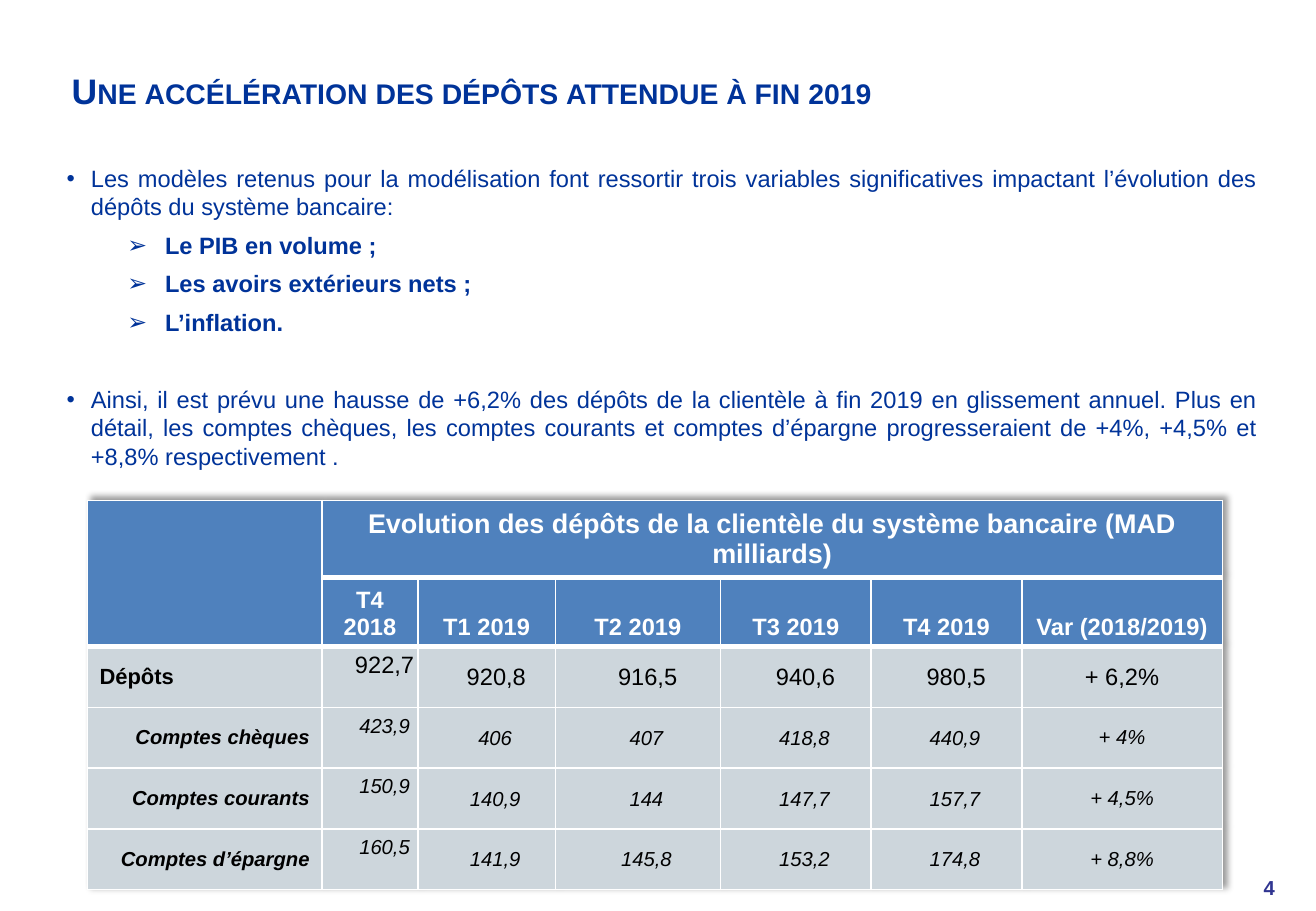
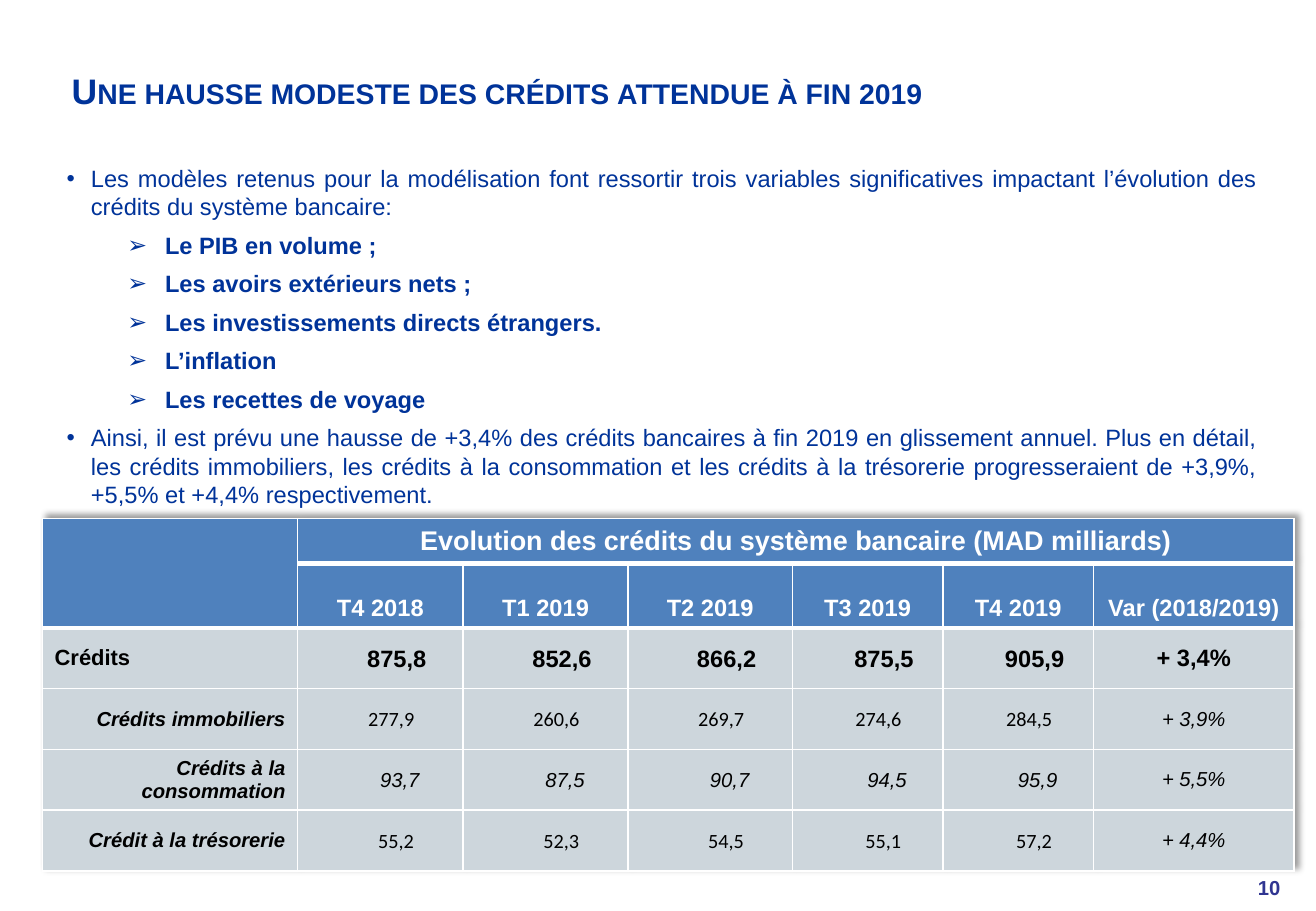
from dataclasses import dataclass

from lxml.etree import SubElement
from pptx import Presentation
from pptx.dml.color import RGBColor
from pptx.enum.text import MSO_ANCHOR as Anchor, MSO_AUTO_SIZE as AutoSize, PP_ALIGN as Align
from pptx.oxml import parse_xml
from pptx.oxml.ns import nsdecls, qn
from pptx.util import Inches, Pt


@dataclass(frozen=True)
class Theme:
    font: str = "Arial"
    navy: str = "003399"
    page: str = "303591"
    header: str = "4F81BD"
    body: str = "CDD6DC"
    white: str = "FFFFFF"
    black: str = "000000"
    title_size: int = 21
    caption_size: int = 16
    text_size: int = 14
    total_size: int = 13
    detail_size: int = 12
    thin: int = 1
    thick: int = 3


@dataclass
class Row:
    """One line of figures; inset pushes the figures right of centre."""
    label: str
    values: list
    change: str
    inset: float
    total: bool = False
    bold: bool = False
    font: str = "Arial"


class Deck:
    def __init__(self, theme):
        self.t = theme
        self.prs = Presentation()
        self.prs.slide_width, self.prs.slide_height = Inches(10.83), Inches(7.5)
        self.s = None

    def style(self, p, size, color, bold=False, italic=False, align=Align.LEFT, font=None):
        p.alignment = align
        for r in p.runs:
            f = r.font
            f.name, f.size, f.bold, f.italic = font or self.t.font, Pt(size), bold, italic
            f.color.rgb = RGBColor.from_string(color)

    def slide(self, title, number):
        self.s = self.prs.slides.add_slide(self.prs.slide_layouts[5])
        sp = self.s.shapes.title
        sp.left, sp.top, sp.width, sp.height = map(Inches, (0.49, 0.28, 10.16, 0.92))
        tf = sp.text_frame
        tf.text = title
        tf.auto_size, tf.vertical_anchor = AutoSize.NONE, Anchor.MIDDLE
        p = tf.paragraphs[0]
        self.style(p, self.t.title_size, self.t.navy, bold=True)
        p.runs[0].font._element.set("cap", "small")
        self.page_number(number)

    def text_box(self, left, top, width, height):
        tf = self.s.shapes.add_textbox(*map(Inches, (left, top, width, height))).text_frame
        tf.word_wrap = True
        return tf

    def page_number(self, number):
        tf = self.text_box(10.19, 7.16, 0.51, 0.29)
        tf.text = str(number)
        tf.vertical_anchor = Anchor.MIDDLE
        self.style(tf.paragraphs[0], self.t.detail_size, self.t.page, bold=True, align=Align.CENTER)

    def bullets(self, intro, variables, conclusion, height, gap=0):
        """Intro, arrowed variables, then a conclusion set off by gap points."""
        tf = self.text_box(0.45, 1.3, 10, height)
        tf.auto_size = AutoSize.SHAPE_TO_FIT_TEXT
        items = [(intro, 0), *((v, 1) for v in variables), (conclusion, 0)]
        tf.text = "\n".join(text for text, _ in items)
        tf.paragraphs[-1].space_before = Pt(gap)
        for p, (_, level) in zip(tf.paragraphs, items):
            p.level = level
            p.space_after = Pt(6)
            self.style(p, self.t.text_size, self.t.navy, bold=level == 1, align=Align.JUSTIFY)
            margin, hanging, char = ((0.2, 0.2, "•"), (0.81, 0.31, "➢"))[level]
            pPr = p._p.get_or_add_pPr()
            pPr.set("marL", str(Inches(margin)))
            pPr.set("indent", str(-Inches(hanging)))
            SubElement(pPr, qn("a:buFont"), typeface=self.t.font)
            SubElement(pPr, qn("a:buChar"), char=char)

    def fill_cell(self, cell, color, top, bottom):
        cell.fill.solid()
        cell.fill.fore_color.rgb = RGBColor.from_string(color)
        tcPr = cell._tc.get_or_add_tcPr()
        sides = (("L", self.t.thin), ("R", self.t.thin), ("T", top), ("B", bottom))
        for i, (side, width) in enumerate(sides):
            tcPr.insert(i, parse_xml(
                f'<a:ln{side} {nsdecls("a")} w="{Pt(width)}"><a:solidFill>'
                f'<a:srgbClr val="{self.t.white}"/></a:solidFill></a:ln{side}>'))

    def write_cell(self, cell, text, size, color, anchor=Anchor.MIDDLE, align=Align.CENTER, **look):
        cell.text = text
        cell.vertical_anchor = anchor
        self.style(cell.text_frame.paragraphs[0], size, color, align=align, **look)

    def table(self, left, top, widths, header_heights, caption, rows, raise_first=0):
        """Two header rows over the figures; raise_first lifts the first figures column."""
        t = self.t
        heights = [*header_heights, *[0.5] * len(rows)]
        tbl = self.s.shapes.add_table(
            len(heights), len(widths), Inches(left), Inches(top),
            Inches(sum(widths)), Inches(sum(heights))).table
        tbl.first_row = tbl.horz_banding = False
        tbl._tbl.tblPr.insert(0, parse_xml(
            f'<a:effectLst {nsdecls("a")}><a:outerShdw blurRad="50800" dist="38100" dir="18900000" '
            f'algn="bl" rotWithShape="0"><a:srgbClr val="{t.black}"><a:alpha val="40000"/>'
            '</a:srgbClr></a:outerShdw></a:effectLst>'))
        for col, width in zip(tbl.columns, widths):
            col.width = Inches(width)
        for i, height in enumerate(heights):
            tbl.rows[i].height = Inches(height)
            for j in range(len(widths)):
                self.fill_cell(tbl.cell(i, j), t.header if i < 2 else t.body,
                               t.thick if i in (1, 2) else t.thin, t.thick if i < 2 else t.thin)
        tbl.cell(0, 0).merge(tbl.cell(1, 0))
        tbl.cell(0, 1).merge(tbl.cell(0, len(widths) - 1))
        self.write_cell(tbl.cell(0, 1), caption, t.caption_size, t.white, bold=True)
        for j, text in enumerate(PERIODS, 1):
            self.write_cell(tbl.cell(1, j), text, t.text_size, t.white, Anchor.BOTTOM, bold=True)

        for i, row in enumerate(rows, 2):
            self.write_cell(tbl.cell(i, 0), row.label, t.total_size if row.total else t.detail_size,
                            t.black, align=Align.LEFT if row.total else Align.RIGHT,
                            bold=True, italic=not row.total)
            size = t.text_size if row.total else t.detail_size
            for j, value in enumerate(row.values, 1):
                cell = tbl.cell(i, j)
                self.write_cell(cell, value, size, t.black, bold=row.bold, font=row.font,
                                italic=not row.total and row.font == t.font)
                lifted = raise_first and j == 1
                cell.margin_left = Inches(0.25 if lifted else row.inset)
                cell.margin_right = cell.margin_top = Inches(0.01)
                cell.margin_bottom = Inches(raise_first if lifted else 0)
            self.write_cell(tbl.cell(i, len(widths) - 1), row.change, size, t.black,
                            bold=row.bold, italic=not row.total)


PERIODS = ["T4 2018", "T1 2019", "T2 2019", "T3 2019", "T4 2019", "Var (2018/2019)"]
INTRO = ("Les modèles retenus pour la modélisation font ressortir trois variables significatives "
         "impactant l’évolution des {} du système bancaire:")
COMMON_VARIABLES = ["Le PIB en volume ;", "Les avoirs extérieurs nets ;"]


def deposits(deck):
    deck.slide("Une accélération des dépôts attendue à fin 2019", 4)
    deck.bullets(
        INTRO.format("dépôts"), [*COMMON_VARIABLES, "L’inflation."],
        "Ainsi, il est prévu une hausse de +6,2% des dépôts de la clientèle à fin 2019 en glissement "
        "annuel. Plus en détail, les comptes chèques, les comptes courants et comptes d’épargne "
        "progresseraient de +4%, +4,5% et +8,8% respectivement .", height=2.64, gap=23)
    deck.table(
        0.72, 4.12, [1.93, 0.79, 1.13, 1.36, 1.24, 1.24, 1.65], [0.63, 0.57],
        "Evolution des dépôts de la clientèle du système bancaire (MAD milliards)", [
            Row("Dépôts", ["922,7", "920,8", "916,5", "940,6", "980,5"], "+ 6,2%", 0.17, total=True),
            Row("Comptes chèques", ["423,9", "406", "407", "418,8", "440,9"], "+ 4%", 0.15),
            Row("Comptes courants", ["150,9", "140,9", "144", "147,7", "157,7"], "+ 4,5%", 0.15),
            Row("Comptes d’épargne", ["160,5", "141,9", "145,8", "153,2", "174,8"], "+ 8,8%", 0.15),
        ], raise_first=0.2)


def credits(deck):
    deck.slide("Une hausse modeste des crédits attendue à fin 2019", 10)
    deck.bullets(
        INTRO.format("crédits"),
        [*COMMON_VARIABLES, "Les investissements directs étrangers.", "L’inflation",
         "Les recettes de voyage"],
        "Ainsi, il est prévu une hausse de +3,4% des crédits bancaires à fin 2019 en glissement "
        "annuel. Plus en détail, les crédits immobiliers, les crédits à la consommation et les "
        "crédits à la trésorerie progresseraient de +3,9%, +5,5% et +4,4% respectivement.",
        height=2.96)
    deck.table(
        0.35, 4.27, [2.1, 1.36, 1.36, 1.35, 1.24, 1.24, 1.65], [0.37, 0.53],
        "Evolution des crédits du système bancaire (MAD milliards)", [
            Row("Crédits", ["875,8", "852,6", "866,2", "875,5", "905,9"], "+ 3,4%", 0.28,
                total=True, bold=True),
            Row("Crédits immobiliers", ["277,9", "260,6", "269,7", "274,6", "284,5"], "+ 3,9%", 0.19,
                font="Calibri"),
            Row("Crédits à la consommation", ["93,7", "87,5", "90,7", "94,5", "95,9"], "+ 5,5%", 0.33),
            Row("Crédit à la trésorerie", ["55,2", "52,3", "54,5", "55,1", "57,2"], "+ 4,4%", 0.27,
                font="Calibri"),
        ])


def main():
    deck = Deck(Theme())
    deposits(deck)
    credits(deck)
    deck.prs.save("out.pptx")


if __name__ == "__main__":
    main()
